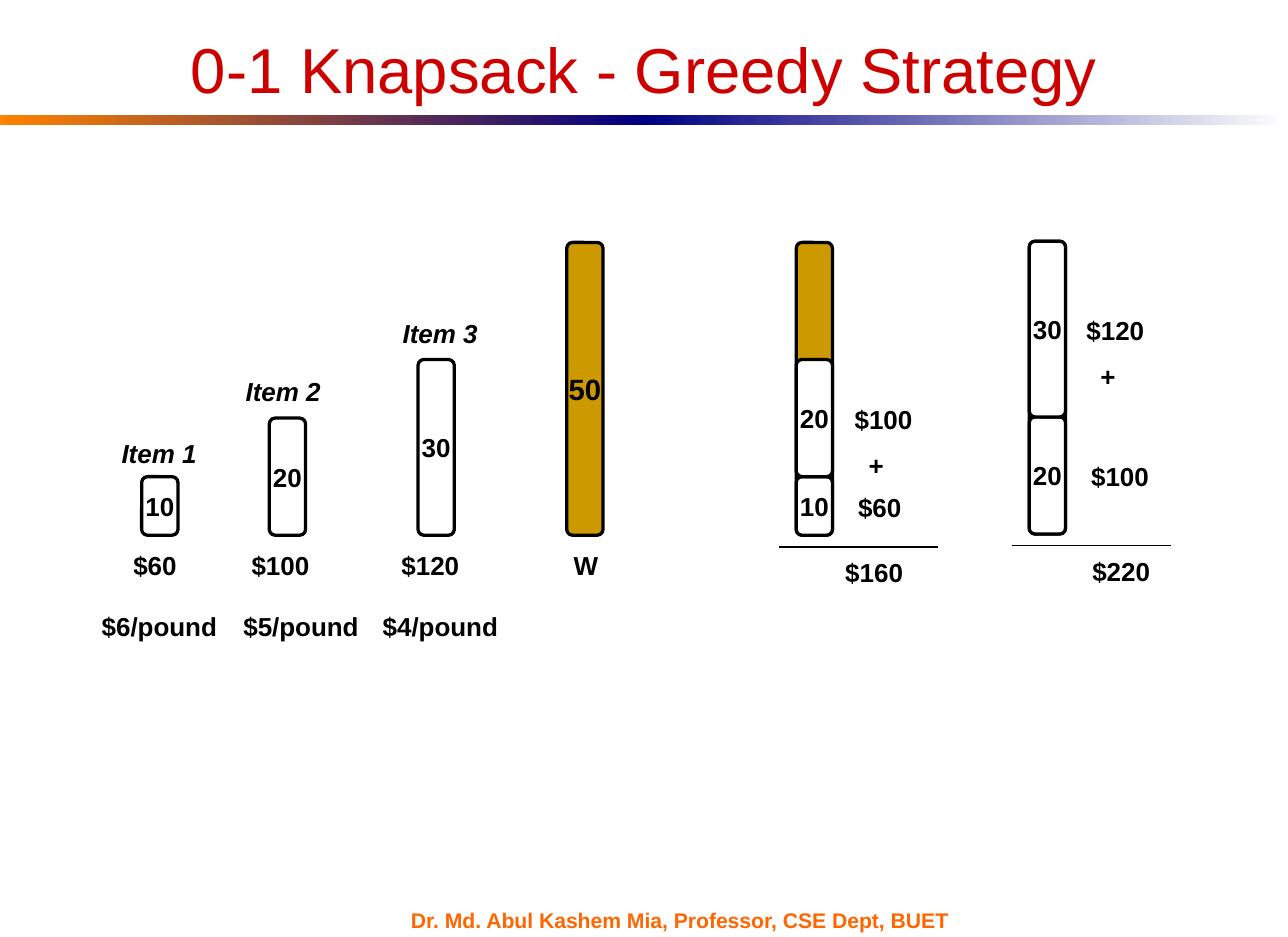
from lxml.etree import SubElement
from pptx import Presentation
from pptx.dml.color import RGBColor
from pptx.enum.shapes import MSO_CONNECTOR as CONN, MSO_SHAPE as SHAPE
from pptx.enum.text import MSO_ANCHOR as ANCHOR, MSO_AUTO_SIZE as AUTO, PP_ALIGN as ALIGN
from pptx.oxml.ns import qn
from pptx.util import Pt

PX = 9144  # 100 px to the inch
WIDTH, HEIGHT = 1100, 800
BLACK, WHITE, GOLD, NAVY = "000000", "FFFFFF", "CC9900", "000082"

TITLE = "0-1 Knapsack - Greedy Strategy"
FOOTER = "Dr. Md. Abul Kashem Mia, Professor, CSE Dept, BUET"
BANDS = [("FF8200", NAVY), (NAVY, WHITE)]

CAPACITY = 50
BAR_W, BAR_RADIUS, PX_PER_POUND, BASE = 31, 5, 5, 457
LABEL_H, PLUS_LABEL_H = 37, 77
SUM_LEFT, SUM_W, SUM_DROP = 15, 136, 10

# bar x, pounds
ITEMS = [(121, 10), (230, 20), (357, 30)]
SACK_X = 484
# bar x, bottom, pounds from the bottom up
SOLUTIONS = [(680, BASE, [10, 20]), (879, BASE - 1, [20, 30])]

# text, x, y, width
ITEM_NAMES = [("Item 1", 94, 369, 84), ("Item 2", 200, 316, 84), ("Item 3", 334, 266, 84)]
VALUES = [
    ("$60", 104, 464, 57), ("$100", 205, 464, 69), ("$120", 333, 464, 69), ("W", 480, 464, 42),
    ("$6/pound", 77, 516, 119), ("$5/pound", 198, 516, 119), ("$4/pound", 317, 516, 119),
    ("$60", 723, 415, 57), ("$160", 712, 470, 69),
    ("$100", 922, 388, 69), ("$220", 923, 469, 69),
]
PLUS_VALUES = [("$100", 720, 340, 69), ("$120", 918, 264, 69)]


def rgb(color):
    return RGBColor.from_string(color)


def box(x, y, w, h):
    return [v * PX for v in (x, y, w, h)]


def add_run(p, text, size, color=BLACK, bold=True, italic=False):
    r = p.add_run()
    r.text = text
    font = r.font
    font.name, font.size, font.bold, font.italic = "Arial", Pt(size), bold, italic
    font.color.rgb = rgb(color)


def add_label(slide, text, x, y, w, h=LABEL_H, italic=False):
    tf = slide.shapes.add_textbox(*box(x, y, w, h)).text_frame
    tf.word_wrap = False
    tf.auto_size = AUTO.SHAPE_TO_FIT_TEXT
    add_run(tf.paragraphs[0], text, 16, italic=italic)
    return tf


def add_bar(slide, x, bottom, pounds, fill=WHITE, text="", size=16):
    h = pounds * PX_PER_POUND
    s = slide.shapes.add_shape(SHAPE.ROUNDED_RECTANGLE, *box(x, bottom - h, BAR_W, h))
    s.adjustments[0] = BAR_RADIUS / BAR_W
    s.shadow.inherit = False
    s.fill.solid()
    s.fill.fore_color.rgb = rgb(fill)
    s.line.color.rgb = rgb(BLACK)
    s.line.width = Pt(2)
    if text:
        tf = s.text_frame
        tf.word_wrap = False
        tf.vertical_anchor = ANCHOR.MIDDLE
        tf.margin_left = tf.margin_right = tf.margin_top = tf.margin_bottom = 0
        tf.paragraphs[0].alignment = ALIGN.CENTER
        add_run(tf.paragraphs[0], text, size)


def add_sum_line(slide, x, y):
    s = slide.shapes.add_connector(CONN.STRAIGHT, x * PX, y * PX, (x + SUM_W) * PX, y * PX)
    s.line.color.rgb = rgb(BLACK)
    s.line.width = Pt(0.75)
    SubElement(s._element.spPr, qn("a:effectLst"))


def add_frame(slide):
    """Gradient rule, title and footer."""
    band_w = WIDTH // len(BANDS)
    for i, colors in enumerate(BANDS):
        s = slide.shapes.add_shape(SHAPE.RECTANGLE, *box(i * band_w, 98, band_w, 9))
        s.shadow.inherit = False
        s.line.fill.background()
        s.fill.gradient()
        s.fill.gradient_angle = 0
        for stop, color in zip(s.fill.gradient_stops, colors):
            stop.color.rgb = rgb(color)

    tf = slide.shapes.add_textbox(*box(55, 21, 990, 54)).text_frame
    tf.word_wrap = True
    tf.paragraphs[0].alignment = ALIGN.CENTER
    add_run(tf.paragraphs[0], TITLE, 39, "CC0000", bold=False)

    tf = slide.shapes.add_textbox(*box(340, 776, 513, 19)).text_frame
    tf.word_wrap = False
    tf.vertical_anchor = ANCHOR.MIDDLE
    tf.margin_left = tf.margin_right = 11 * PX
    add_run(tf.paragraphs[0], FOOTER, 13, "FF6600")


def main():
    prs = Presentation()
    prs.slide_width, prs.slide_height = WIDTH * PX, HEIGHT * PX
    slide = prs.slides.add_slide(prs.slide_layouts[6])
    add_frame(slide)

    for x, pounds in ITEMS:
        add_bar(slide, x, BASE, pounds, text=str(pounds))
    add_bar(slide, SACK_X, BASE, CAPACITY, GOLD, str(CAPACITY), 18)

    for x, bottom, loads in SOLUTIONS:
        add_bar(slide, x, bottom, CAPACITY, GOLD)
        add_sum_line(slide, x - SUM_LEFT, bottom + SUM_DROP)
        for pounds in loads:
            add_bar(slide, x, bottom, pounds, text=str(pounds))
            bottom -= pounds * PX_PER_POUND

    for label in ITEM_NAMES:
        add_label(slide, *label, italic=True)
    for label in VALUES:
        add_label(slide, *label)
    for label in PLUS_VALUES:
        p = add_label(slide, *label, h=PLUS_LABEL_H).add_paragraph()
        p.space_before = Pt(9)
        p._p.get_or_add_pPr().set("marL", str(12 * PX))
        add_run(p, "+", 16)

    prs.save("out.pptx")


if __name__ == "__main__":
    main()
